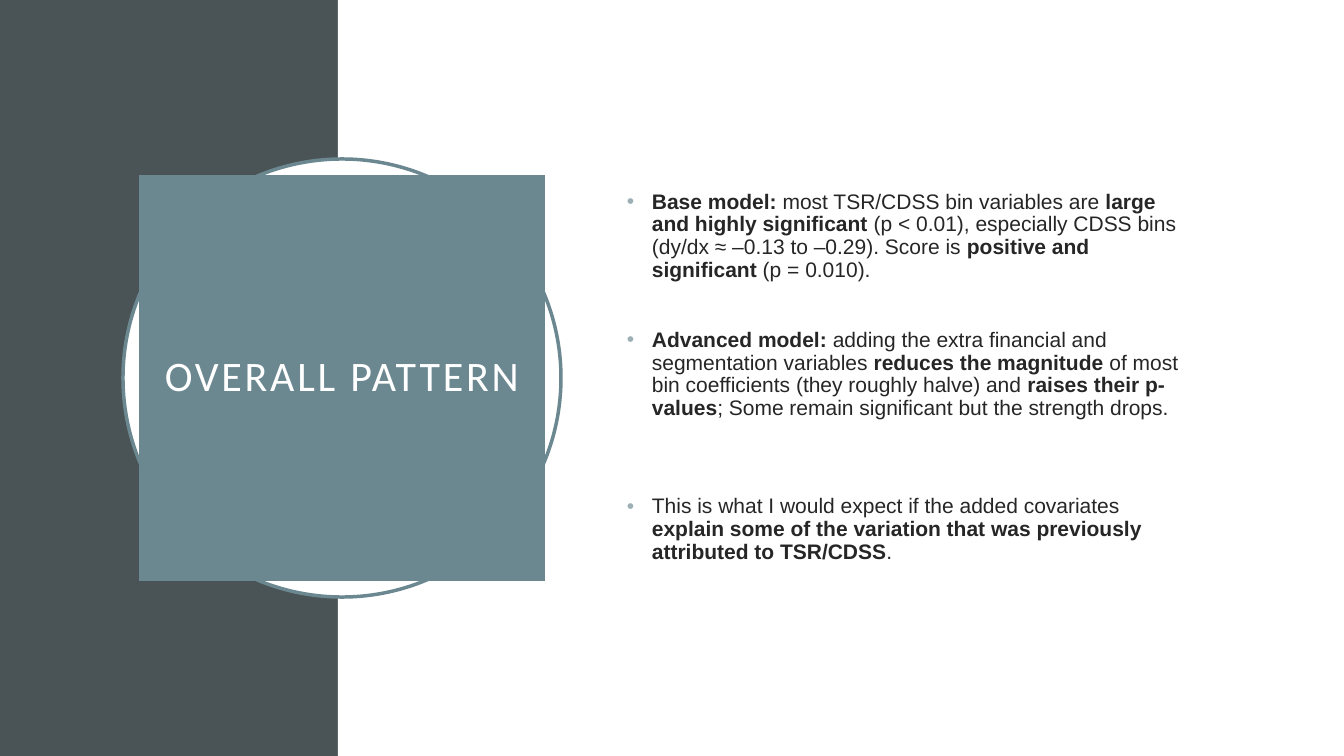
from dataclasses import dataclass

from lxml.etree import SubElement
from pptx import Presentation
from pptx.dml.color import RGBColor
from pptx.enum.shapes import MSO_SHAPE
from pptx.enum.text import MSO_ANCHOR, PP_ALIGN
from pptx.oxml.ns import qn
from pptx.util import Emu, Pt

EMU_PER_PX = 914400 / 100.8


def px(length):
    return Emu(round(length * EMU_PER_PX))


@dataclass(frozen=True)
class Theme:
    slate: str = "4A5356"
    teal: str = "6B8891"
    bullet: str = "9BAFB5"
    ink: str = "262626"
    white: str = "FFFFFF"
    title_font: str = "Calibri"
    body_font: str = "Arial"
    title_size: int = 30
    body_size: int = 15
    ring_width: float = 2.5
    letter_spacing: int = 200
    line_spacing: float = 0.9


class SlideBuilder:
    def __init__(self, slide, theme):
        self.slide = slide
        self.theme = theme

    def shape(self, kind, box, fill, line=None):
        shape = self.slide.shapes.add_shape(kind, *map(px, box))
        shape.shadow.inherit = False
        shape.fill.solid()
        shape.fill.fore_color.rgb = RGBColor.from_string(fill)
        if line:
            shape.line.color.rgb = RGBColor.from_string(line)
            shape.line.width = Pt(self.theme.ring_width)
        else:
            shape.line.fill.background()
        return shape

    def format(self, target, values):
        for name, value in values.items():
            setattr(target, name, value)

    def run(self, paragraph, text, color, **font_values):
        run = paragraph.add_run()
        run.text = text
        run.font.color.rgb = RGBColor.from_string(color)
        self.format(run.font, font_values)
        return run

    def title(self, shape, text):
        theme = self.theme
        margins = {f"margin_{side}": px(20) for side in ("left", "top", "right", "bottom")}
        self.format(shape.text_frame, {
            "word_wrap": True, "vertical_anchor": MSO_ANCHOR.MIDDLE, **margins})
        paragraph = shape.text_frame.paragraphs[0]
        self.format(paragraph, {"alignment": PP_ALIGN.CENTER, "line_spacing": theme.line_spacing})
        run = self.run(paragraph, text, theme.white,
                       name=theme.title_font, size=Pt(theme.title_size))
        run.font._element.set("spc", str(theme.letter_spacing))

    def bullet(self, paragraph, indent):
        properties = paragraph._p.get_or_add_pPr()
        properties.set("marL", str(px(indent)))
        properties.set("indent", str(-px(indent)))
        color = SubElement(properties, qn("a:buClr"))
        SubElement(color, qn("a:srgbClr"), val=self.theme.bullet)
        SubElement(properties, qn("a:buFont"), typeface=self.theme.body_font)
        SubElement(properties, qn("a:buChar"), char="•")

    def bullet_list(self, box, items):
        theme = self.theme
        frame = self.slide.shapes.add_textbox(*map(px, box)).text_frame
        self.format(frame, {"word_wrap": True, "vertical_anchor": MSO_ANCHOR.MIDDLE})
        for index, (space_after, pieces) in enumerate(items):
            paragraph = frame.add_paragraph() if index else frame.paragraphs[0]
            self.format(paragraph, {
                "line_spacing": theme.line_spacing, "space_before": Pt(0),
                "space_after": Pt(space_after)})
            self.bullet(paragraph, indent=25)
            for text, bold in pieces:
                self.run(paragraph, text, theme.ink, name=theme.body_font,
                         size=Pt(theme.body_size), bold=bold)


# Each item: space after in points, then (text, bold) pieces
FINDINGS = [
    (34, [("Base model:", True),
          (" most TSR/CDSS bin variables are ", False),
          ("large and highly significant", True),
          (" (p < 0.01), especially CDSS bins (dy/dx ≈ –0.13 to –0.29). Score is ", False),
          ("positive and significant", True),
          (" (p = 0.010).", False)]),
    (54, [("Advanced model:", True),
          (" adding the extra financial and segmentation variables ", False),
          ("reduces the magnitude", True),
          (" of most bin coefficients (they roughly halve) and ", False),
          ("raises their p-values", True),
          ("; Some remain significant but the strength drops.", False)]),
    (0, [("This is what I would expect if the added covariates ", False),
         ("explain some of the variation that was previously attributed to TSR/CDSS", True),
         (".", False)]),
]


def main():
    presentation = Presentation()
    presentation.slide_width, presentation.slide_height = px(1344), px(756)
    theme = Theme()
    builder = SlideBuilder(presentation.slides.add_slide(presentation.slide_layouts[6]), theme)

    # Background panels
    builder.shape(MSO_SHAPE.RECTANGLE, (0, 0, 338, 756), theme.slate)
    builder.shape(MSO_SHAPE.RECTANGLE, (338, 0, 1006, 756), theme.white)

    # Title block on its ring
    builder.shape(MSO_SHAPE.OVAL, (123, 159, 438, 438), theme.white, theme.teal)
    title_block = builder.shape(MSO_SHAPE.RECTANGLE, (139, 175, 406, 406), theme.teal)
    builder.title(title_block, "OVERALL PATTERN")

    # Findings
    builder.bullet_list((617, 154, 587, 447), FINDINGS)

    presentation.save("out.pptx")


if __name__ == "__main__":
    main()
